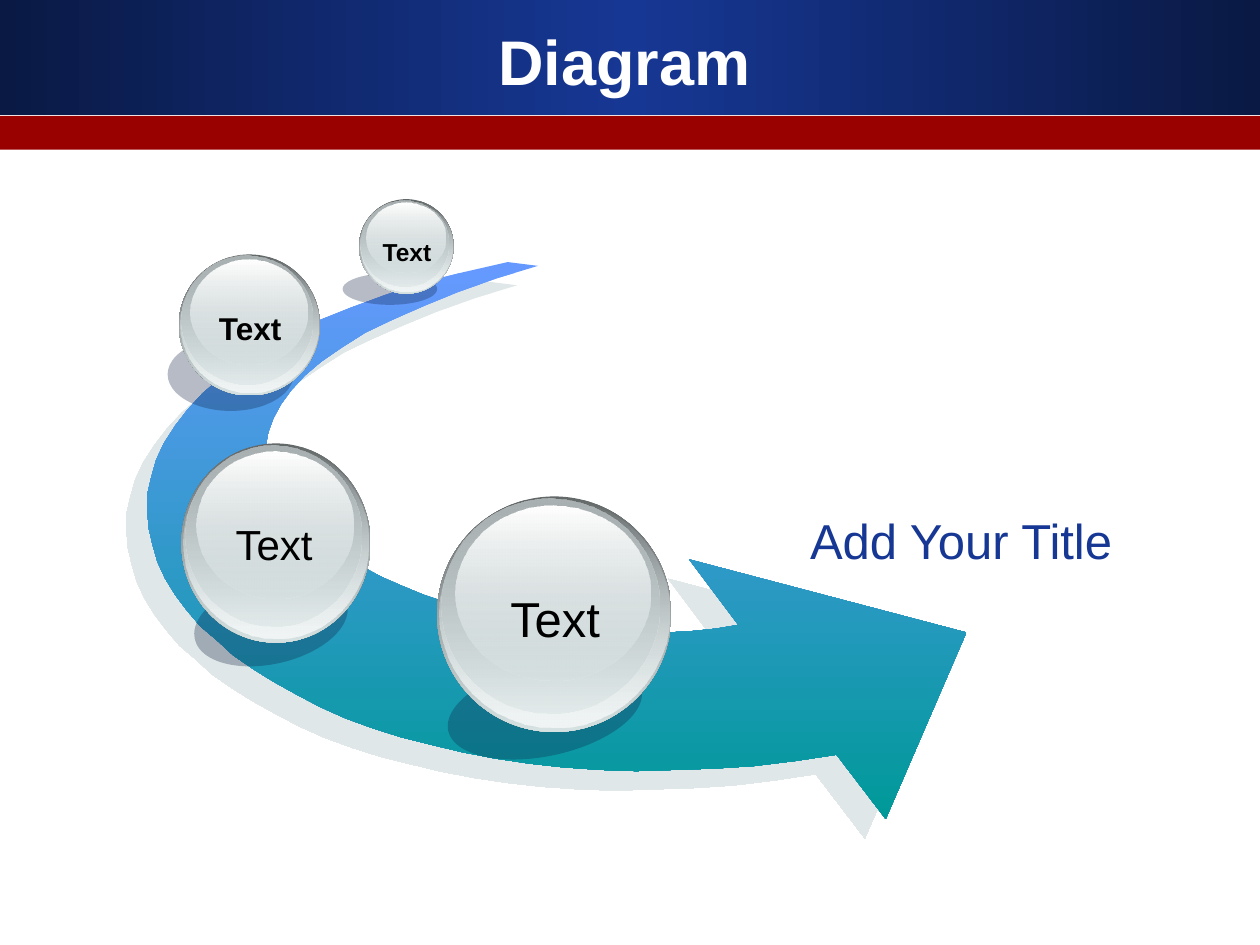
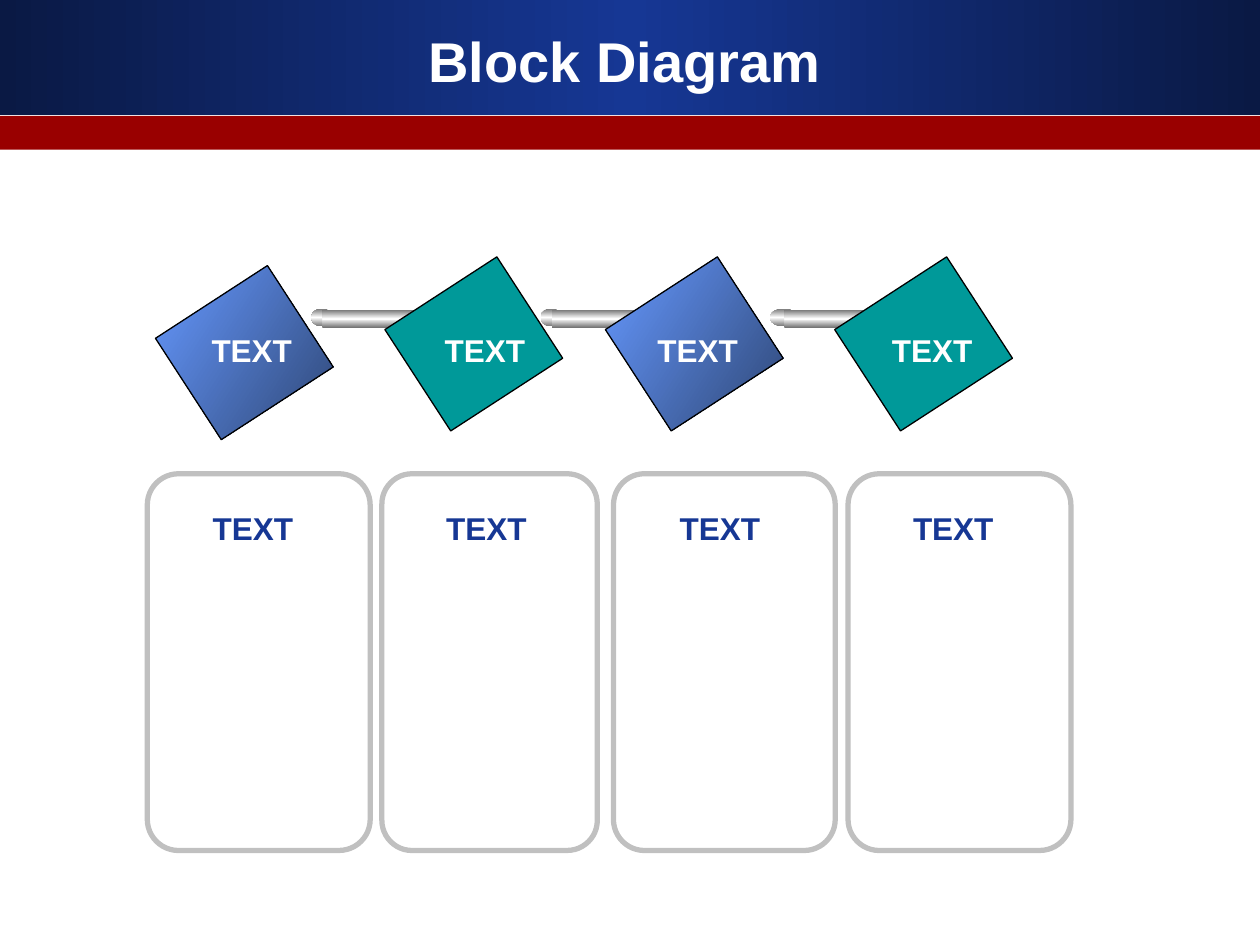
from lxml import etree
from pptx import Presentation
from pptx.dml.color import RGBColor
from pptx.enum.shapes import MSO_SHAPE
from pptx.enum.text import MSO_ANCHOR, MSO_AUTO_SIZE, PP_ALIGN
from pptx.oxml.ns import qn
from pptx.util import Pt

RECT, OVAL, ROUNDED = MSO_SHAPE.RECTANGLE, MSO_SHAPE.OVAL, MSO_SHAPE.ROUNDED_RECTANGLE
LEFT, CENTER = PP_ALIGN.LEFT, PP_ALIGN.CENTER
FONT = "Arial"

WHITE = RGBColor(0xFF, 0xFF, 0xFF)
BLACK = RGBColor(0x00, 0x00, 0x00)
NAVY = RGBColor(0x0A, 0x19, 0x44)
BLUE = RGBColor(0x16, 0x37, 0x94)
RED = RGBColor(0x99, 0x00, 0x00)
SKY = RGBColor(0x66, 0x99, 0xFF)
DUSK = RGBColor(0x2F, 0x47, 0x76)
TEAL = RGBColor(0x00, 0x99, 0x99)
SHADE = RGBColor(0x0F, 0x21, 0x45)
MIST = RGBColor(0xC1, 0xD1, 0xD3)
GLASS = RGBColor(0xD6, 0xE1, 0xE2)
GLASS_LIGHT = RGBColor(0xF1, 0xF5, 0xF5)
STEEL = RGBColor(0x63, 0x68, 0x69)
STEEL_LIGHT = RGBColor(0xAA, 0xB2, 0xB3)
GREY = RGBColor(0x76, 0x76, 0x76)
SILVER = RGBColor(0xC0, 0xC0, 0xC0)

# Gradient stops: (position %, colour, opacity %)
BAND_STOPS = [(0, NAVY, 100), (50, BLUE, 100), (100, NAVY, 100)]
ARROW_STOPS = [(0, SKY, 100), (100, TEAL, 100)]
ROD_STOPS = [(0, GREY, 100), (50, WHITE, 100), (100, GREY, 100)]
DIAMOND_STOPS = [(0, SKY, 100), (100, DUSK, 100)]

# Glass layers: left, top, width, height as shares of the ball, then stops
BALL_LAYERS = [
    ((0, 0, 1, 1), [(0, STEEL, 100), (100, GLASS, 100)]),
    ((0.01, 0.01, 0.98, 0.97), [(0, GLASS, 0), (100, GLASS_LIGHT, 100)]),
    ((0.02, 0.01, 0.93, 0.91), [(0, STEEL_LIGHT, 100), (100, GLASS, 48)]),
    ((0.08, 0.04, 0.83, 0.74), [(0, WHITE, 100), (100, GLASS, 38)]),
]
BALLS = [
    dict(box=(249.8, 283.7, 133.9, 134.6), shade=(254.9, 379.4, 113, 52.6), turn=347.9,
         label=(283, 332.6, 68.4, 41), size=28, bold=False),
    dict(box=(103.7, 253.4, 108, 113.8), shade=(110.2, 331.2, 89.3, 48.2), turn=347.1,
         label=(126, 293, 61.2, 36), size=24, bold=False),
    dict(box=(102.2, 145.4, 80.6, 80.6), shade=(95.8, 193, 72, 41.8), turn=0,
         label=(117.4, 172.8, 51.1, 28.8), size=18, bold=True),
    dict(box=(205.2, 113.8, 54, 54), shade=(195.8, 156.2, 54, 18), turn=0,
         label=(211, 131.8, 43.2, 24.5), size=14, bold=True),
]

# Arrow outline on a grid of 0.72 pt
ARROW_GRID = Pt(0.72)
ARROW = [
    (403, 208), (368, 216), (336, 224), (306, 234), (279, 244), (254, 254), (231, 265),
    (210, 276), (191, 288), (175, 300), (161, 312), (149, 325), (139, 338), (130, 352),
    (124, 365), (120, 379), (117, 392), (117, 406), (118, 419), (121, 432), (125, 446),
    (131, 459), (139, 472), (148, 484), (159, 497), (172, 508), (185, 520), (201, 531),
    (217, 541), (235, 551), (254, 561), (274, 570), (296, 578), (318, 585), (342, 591),
    (367, 597), (393, 602), (420, 606), (447, 609), (476, 611), (505, 612), (536, 611),
    (567, 610), (598, 608), (631, 604), (664, 599), (703, 650), (767, 502), (547, 444),
    (586, 496), (568, 499), (548, 501), (529, 502), (509, 502), (489, 502), (469, 500),
    (449, 498), (429, 496), (410, 492), (390, 488), (372, 483), (354, 478), (336, 472),
    (319, 465), (303, 458), (288, 450), (274, 442), (261, 434), (250, 425), (239, 416),
    (231, 406), (223, 396), (218, 386), (213, 375), (211, 365), (211, 354), (213, 343),
    (217, 332), (223, 321), (231, 310), (242, 298), (255, 287), (271, 276), (290, 264),
    (311, 254), (336, 243), (363, 232), (394, 221), (427, 211),
]

# One entry per block: panel, diamond and the label on it
BLOCKS = [
    dict(panel=(84.2, 127.4), diamond=(105.1, 163.4), label=113.8),
    dict(panel=(218.2, 123.1), diamond=(236.2, 158.4), label=247),
    dict(panel=(350.6, 126.7), diamond=(362.2, 158.4), label=368.6),
    dict(panel=(484.6, 127.4), diamond=(493.2, 158.4), label=502.6),
]
CAPTION_LEFT, CAPTION_STEP = 114.5, 133.4
RODS = [(177.8, 71.3), (308.9, 71.3), (439.9, 92.9)]
# Rod parts: shape, left and width as shares of the rod, top, height, outline
ROD_PARTS = [
    (OVAL, 0, 0.17, 176.4, 10.1, None),
    (RECT, 0.09, 0.83, 177.1, 10.1, None),
    (OVAL, 0.85, 0.15, 177.1, 9.4, WHITE),
    (OVAL, 0.93, 0.04, 180, 2.9, None),
]


def add_color(parent, color, opacity):
    clr = etree.SubElement(parent, qn("a:srgbClr"), val=str(color))
    if opacity < 100:
        etree.SubElement(clr, qn("a:alpha"), val=str(opacity * 1000))


def swap_fill(s, tag, **attrs):
    """Replace the fill of a shape by an empty fill element and return it."""
    s.fill.background()
    old = s._element.spPr.find(qn("a:noFill"))
    new = etree.Element(qn(tag), **attrs)
    old.getparent().replace(old, new)
    return new


def fill_gradient(s, stops, angle):
    grad = swap_fill(s, "a:gradFill", rotWithShape="0")
    gs_list = etree.SubElement(grad, qn("a:gsLst"))
    for pos, color, opacity in stops:
        add_color(etree.SubElement(gs_list, qn("a:gs"), pos=str(pos * 1000)), color, opacity)
    etree.SubElement(grad, qn("a:lin"), ang=str(angle * 60000), scaled="0")


def style(s, fill=None, stops=None, angle=90, opacity=100, line=None, width=1):
    s.shadow.inherit = False
    if stops:
        fill_gradient(s, stops, angle)
    elif fill is not None:
        add_color(swap_fill(s, "a:solidFill"), fill, opacity)
    else:
        s.fill.background()
    if line is None:
        s.line.fill.background()
    else:
        s.line.color.rgb = line
        s.line.width = Pt(width)
    return s


def add_shape(slide, kind, box, turn=0, **look):
    s = slide.shapes.add_shape(kind, *map(Pt, box))
    s.rotation = turn
    return style(s, **look)


def write(tf, text, size=18, color=BLACK, bold=False, align=LEFT):
    p = tf.paragraphs[0]
    p.alignment = align
    r = p.add_run()
    r.text = text
    r.font.name, r.font.size, r.font.bold = FONT, Pt(size), bold
    r.font.color.rgb = color


def add_text(slide, text, box, wrap=False, **look):
    tf = slide.shapes.add_textbox(*map(Pt, box)).text_frame
    tf.word_wrap = wrap
    tf.auto_size = MSO_AUTO_SIZE.SHAPE_TO_FIT_TEXT
    write(tf, text, **look)


def add_slide(prs, layout, title, size):
    slide = prs.slides.add_slide(layout)
    tf = slide.shapes.title.text_frame
    tf.auto_size = MSO_AUTO_SIZE.NONE
    tf.vertical_anchor = MSO_ANCHOR.MIDDLE
    write(tf, title, size=size, color=WHITE, bold=True, align=CENTER)
    return slide


def set_up_layout(layout, slide):
    """Place the layout title and move bands drawn on the slide to the layout."""
    title = layout.placeholders[0]
    title.left, title.top, title.width, title.height = map(Pt, (23.8, 12.2, 666, 44.6))
    bands = [
        add_shape(slide, RECT, (0, 0, 720, 65.5), stops=BAND_STOPS, angle=0),
        add_shape(slide, RECT, (0, 66.2, 720, 19.4), fill=RED),
    ]
    for i, band in enumerate(bands):
        layout.shapes._spTree.insert(2 + i, band._element)


def add_arrow(slide):
    builder = slide.shapes.build_freeform(*ARROW[0], scale=float(ARROW_GRID))
    builder.add_line_segments(ARROW[1:], close=True)
    s = style(builder.convert_to_shape(), stops=ARROW_STOPS)
    effects = s._element.spPr.find(qn("a:effectLst"))
    shadow = etree.SubElement(effects, qn("a:outerShdw"), blurRad="0", dist=str(Pt(16.3)),
                              dir=str(137 * 60000), algn="ctr", rotWithShape="0")
    add_color(shadow, MIST, 50)


def add_ball(slide, ball):
    add_shape(slide, OVAL, ball["shade"], turn=ball["turn"], fill=SHADE, opacity=30)
    x, y, w, h = ball["box"]
    for (dx, dy, dw, dh), stops in BALL_LAYERS:
        add_shape(slide, OVAL, (x + dx * w, y + dy * h, dw * w, dh * h), stops=stops)
    add_text(slide, "Text", ball["label"], size=ball["size"], bold=ball["bold"], align=CENTER)


def add_rod(slide, left, length):
    for kind, start, share, top, height, line in ROD_PARTS:
        add_shape(slide, kind, (left + start * length, top, share * length, height),
                  stops=ROD_STOPS, line=line)


def draw_diagram(slide):
    add_arrow(slide)
    add_text(slide, "Add Your Title", (455.8, 288, 210.2, 41), wrap=True, size=28, color=BLUE)
    for ball in BALLS:
        add_ball(slide, ball)


def draw_blocks(slide):
    for block in BLOCKS:
        left, width = block["panel"]
        s = add_shape(slide, ROUNDED, (left, 270.7, width, 215.3), line=SILVER, width=3)
        s.adjustments[0] = 0.14
    for i, block in enumerate(BLOCKS):
        if i:
            add_rod(slide, *RODS[i - 1])
        look = dict(fill=TEAL) if i % 2 else dict(stops=DIAMOND_STOPS, angle=33)
        add_shape(slide, RECT, (*block["diamond"], 69.1, 76.3), turn=57,
                  line=BLACK, width=0.75, **look)
    for i, block in enumerate(BLOCKS):
        add_text(slide, "TEXT", (block["label"], 185.8, 60.5, 28.8), color=WHITE, bold=True)
        add_text(slide, "TEXT", (CAPTION_LEFT + i * CAPTION_STEP, 287.3, 60.5, 28.8),
                 color=BLUE, bold=True)


def main():
    prs = Presentation()
    prs.slide_width, prs.slide_height = Pt(720), Pt(540)
    layout = prs.slide_layouts[5]
    diagram = add_slide(prs, layout, "Diagram", 36)
    set_up_layout(layout, diagram)
    draw_diagram(diagram)
    draw_blocks(add_slide(prs, layout, "Block Diagram", 32))
    prs.save("out.pptx")


if __name__ == "__main__":
    main()
